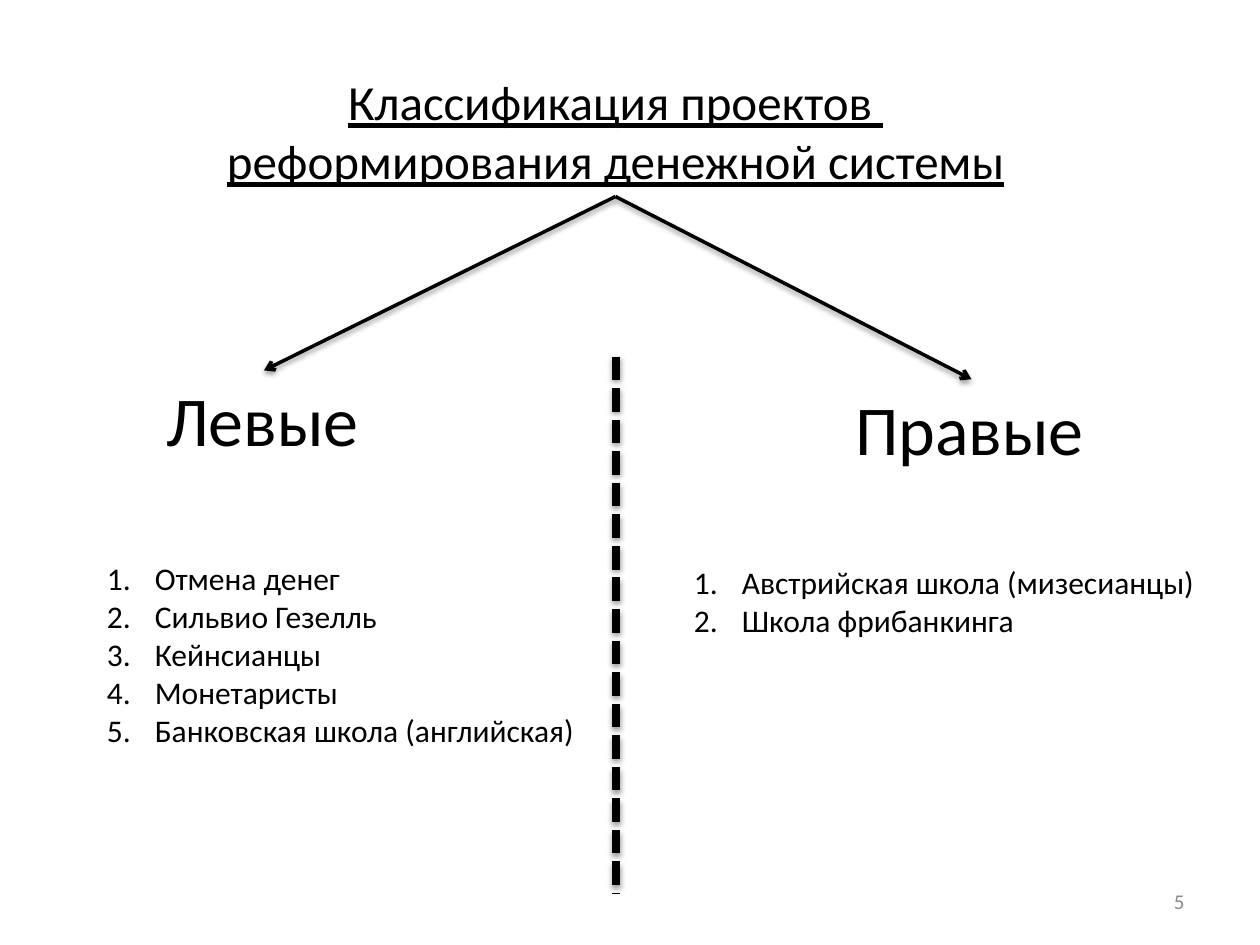
"""Build a slide that sorts monetary reform projects into left and right."""
from dataclasses import dataclass, field
from typing import Any

import lxml.etree
import pptx
import pptx.dml.color
import pptx.enum.dml
import pptx.enum.shapes
import pptx.enum.text
import pptx.oxml
import pptx.oxml.ns
import pptx.util

Inches = pptx.util.Inches
Align = pptx.enum.text.PP_ALIGN
COLORS = {"ink": "000000", "number": "8C8C8C"}
INDENT = Inches(0.38)
NAMESPACE = pptx.oxml.ns.nsdecls("a")
SHADOW = (
    f'<a:effectLst {NAMESPACE}><a:outerShdw blurRad="{pptx.util.Pt(3.1)}" '
    f'dist="{pptx.util.Pt(1.6)}" dir="5400000" rotWithShape="0">'
    f'<a:srgbClr val="{COLORS["ink"]}"><a:alpha val="38000"/></a:srgbClr>'
    "</a:outerShdw></a:effectLst>"
)


@dataclass
class Label:
    """Text with its place and format."""

    lines: list[str]
    place: tuple[float, float, float, float]
    size: int
    color: str = "ink"
    align: Any = Align.LEFT
    numbered: bool = False
    font: dict[str, Any] = field(default_factory=dict)
    frame: dict[str, Any] = field(default_factory=lambda: {
        "word_wrap": False,
        "auto_size": pptx.enum.text.MSO_AUTO_SIZE.SHAPE_TO_FIT_TEXT,
    })


@dataclass
class Line:
    """Straight line with its ends and style."""

    start: tuple[float, float]
    end: tuple[float, float]
    width: float
    dashed: bool = False
    arrow: bool = False


LABELS = {
    "title": Label(["Классификация проектов ", "реформирования денежной системы"],
                   (1.66, 0.52, 6.45, 1.04), 28, align=Align.CENTER,
                   font={"underline": True}),
    "left": Label(["Левые"], (1.22, 2.94, 1.75, 0.77), 40),
    "right": Label(["Правые"], (6.69, 3.01, 2.04, 0.77), 40),
    "left schools": Label(
        ["Отмена денег", "Сильвио Гезелль", "Кейнсианцы", "Монетаристы",
         "Банковская школа (английская)"],
        (0.75, 4.39, 3.95, 1.62), 18, numbered=True),
    "right schools": Label(["Австрийская школа (мизесианцы)", "Школа фрибанкинга"],
                           (5.41, 4.42, 4.2, 0.71), 18, numbered=True),
    "page number": Label(
        ["5"], (7.17, 6.95, 2.33, 0.4), 12, "number", Align.RIGHT,
        frame={"word_wrap": True,
               "vertical_anchor": pptx.enum.text.MSO_ANCHOR.MIDDLE}),
}
FORK = (4.89, 1.57)
BRANCHES = {
    "left": Line(FORK, (2.09, 2.94), 2, arrow=True),
    "right": Line(FORK, (7.71, 3.01), 2, arrow=True),
}
DIVIDER = Line((4.89, 2.83), (4.89, 7.09), 4.5, dashed=True)


def apply_format(target: Any, values: dict[str, Any]) -> None:
    """Set each format value on the target."""
    for name, value in values.items():
        setattr(target, name, value)


def rgb(name: str) -> pptx.dml.color.RGBColor:
    """Return the named colour."""
    return pptx.dml.color.RGBColor.from_string(COLORS[name])


def add_label(page: Any, label: Label) -> Any:
    """Draw a text box, one paragraph a line."""
    box = page.shapes.add_textbox(*map(Inches, label.place))
    apply_format(box.text_frame, label.frame)
    box.text_frame.text = "\n".join(label.lines)
    for para in box.text_frame.paragraphs:
        para.alignment = label.align
        span = para.runs[0]
        apply_format(span.font, {"name": "Calibri",
                                 "size": pptx.util.Pt(label.size), **label.font})
        span.font.color.rgb = rgb(label.color)
        if label.numbered:
            properties = para._p.get_or_add_pPr()
            properties.set("marL", str(INDENT))
            properties.set("indent", str(-INDENT))
            lxml.etree.SubElement(properties, pptx.oxml.ns.qn("a:buAutoNum"),
                                  type="arabicPeriod")
    return box


def add_line(page: Any, line: Line) -> Any:
    """Draw a shadowed straight line."""
    connector = page.shapes.add_connector(
        pptx.enum.shapes.MSO_CONNECTOR.STRAIGHT,
        *map(Inches, line.start + line.end))
    connector.line.color.rgb = rgb("ink")
    connector.line.width = pptx.util.Pt(line.width)
    if line.dashed:
        connector.line.dash_style = pptx.enum.dml.MSO_LINE.SQUARE_DOT
    if line.arrow:
        lxml.etree.SubElement(connector.line._get_or_add_ln(),
                              pptx.oxml.ns.qn("a:tailEnd"), type="arrow")
    connector._element.spPr.append(pptx.oxml.parse_xml(SHADOW))
    return connector


def main() -> None:
    """Build and save the deck."""
    deck = pptx.Presentation()
    apply_format(deck, {"slide_width": Inches(10), "slide_height": Inches(7.5)})
    page = deck.slides.add_slide(deck.slide_layouts[6])
    boxes = {name: add_label(page, label) for name, label in LABELS.items()}
    for name, branch in BRANCHES.items():
        connector = add_line(page, branch)
        connector.begin_connect(boxes["title"], 2)
        connector.end_connect(boxes[name], 0)
    add_line(page, DIVIDER)
    deck.save("out.pptx")


if __name__ == "__main__":
    main()
